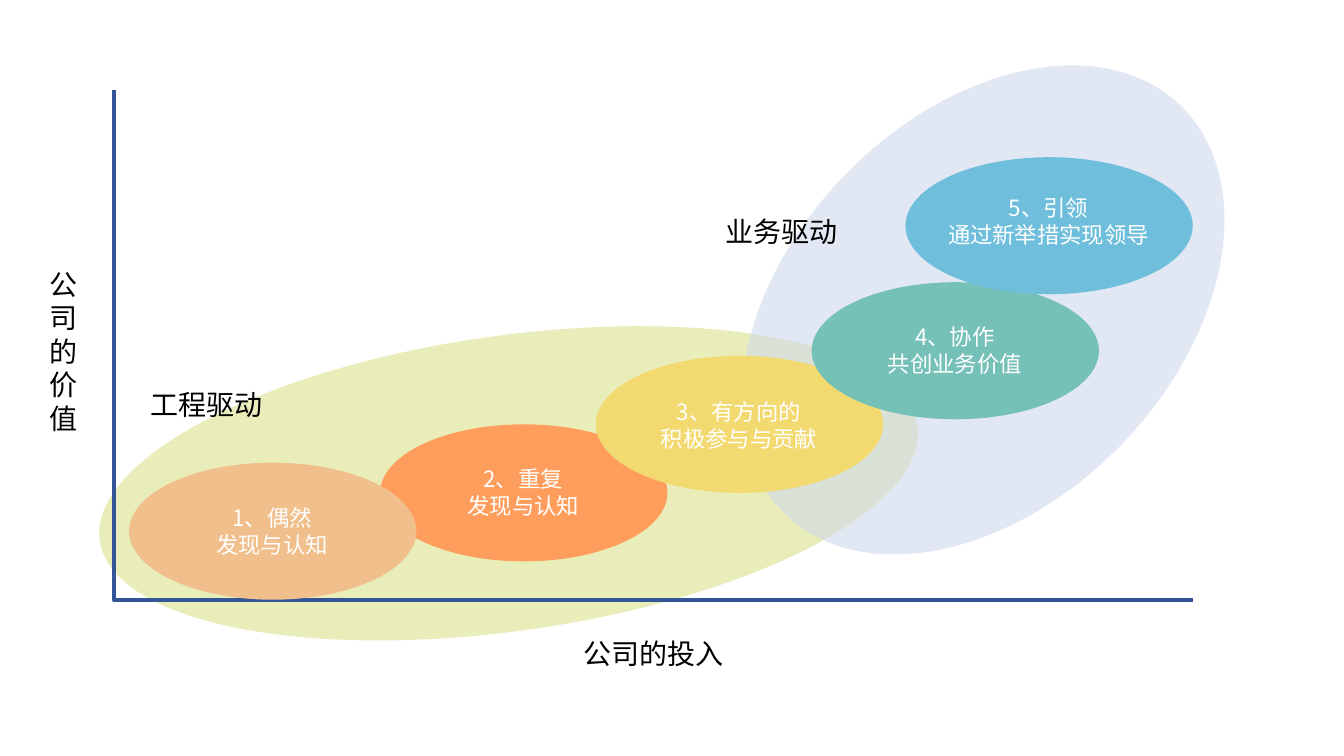
from lxml import etree
from pptx import Presentation
from pptx.dml.color import RGBColor
from pptx.enum.shapes import MSO_CONNECTOR, MSO_SHAPE
from pptx.enum.text import PP_ALIGN
from pptx.oxml.ns import qn
from pptx.util import Inches, Pt

FONT = "Noto Sans CJK SC"
BLACK = RGBColor(0x00, 0x00, 0x00)
WHITE = RGBColor(0xFF, 0xFF, 0xFF)
AXIS_BLUE = RGBColor(0x35, 0x56, 0x96)
PALE_GREEN = RGBColor(0xE9, 0xED, 0xB9)
PALE_BLUE = RGBColor(0xCF, 0xDA, 0xEB)
ORANGE = RGBColor(0xFF, 0x9E, 0x5C)
PEACH = RGBColor(0xF1, 0xBF, 0x8C)
YELLOW = RGBColor(0xF2, 0xD9, 0x70)
TEAL = RGBColor(0x75, 0xC0, 0xB7)
SKY = RGBColor(0x6E, 0xBE, 0xDC)

prs = Presentation()
prs.slide_width, prs.slide_height = Inches(13.33), Inches(7.5)
slide = prs.slides.add_slide(prs.slide_layouts[6])


def add_ellipse(left, top, width, height, color):
    ellipse = slide.shapes.add_shape(
        MSO_SHAPE.OVAL, Inches(left), Inches(top), Inches(width), Inches(height))
    ellipse.shadow.inherit = False
    ellipse.fill.solid()
    ellipse.fill.fore_color.rgb = color
    ellipse.line.fill.background()
    return ellipse


def add_label(left, top, width, height, lines, size, color):
    label = slide.shapes.add_textbox(
        Inches(left), Inches(top), Inches(width), Inches(height))
    frame = label.text_frame
    frame.word_wrap = True
    frame.text = "\n".join(lines)
    for paragraph in frame.paragraphs:
        paragraph.alignment = PP_ALIGN.CENTER
        font = paragraph.runs[0].font
        for name, value in {"size": Pt(size), "name": FONT}.items():
            setattr(font, name, value)
        font.color.rgb = color
        etree.SubElement(font._element, qn("a:ea"), typeface=FONT)
    return frame


# Driver zones behind the stages
engineering_zone = add_ellipse(0.95, 3.33, 8.19, 2.93, PALE_GREEN)
engineering_zone.rotation = 352
business_zone = add_ellipse(6.93, 1.16, 5.64, 3.83, PALE_BLUE)
business_zone.rotation = 314
zone_color = business_zone._element.spPr.find(".//" + qn("a:srgbClr"))
etree.SubElement(zone_color, qn("a:alpha"), val="60000")

# Both axes as one elbow line, bent at its left edge
axes = slide.shapes.add_connector(
    MSO_CONNECTOR.ELBOW, Inches(1.13), Inches(0.89), Inches(11.83), Inches(5.95))
axes.line.color.rgb = AXIS_BLUE
axes.line.width = Pt(3)
bend = axes._element.spPr.find(".//" + qn("a:avLst"))
etree.SubElement(bend, qn("a:gd"), name="adj1", fmla="val 0")
etree.SubElement(axes._element.spPr, qn("a:effectLst"))

# Axis titles
value_title = add_label(0.39, 2.6, 0.43, 1.64, ["公司的价值"], 20, BLACK)
value_title._txBody.bodyPr.set("vert", "mongolianVert")
add_label(5.51, 6.27, 1.95, 0.44, ["公司的投入"], 20, BLACK)

# Stages, from back to front: left, top, text top, colour, text
stages = [
    (3.77, 4.21, 4.57, ORANGE, ["2、重复", "发现与认知"]),
    (1.28, 4.59, 4.95, PEACH, ["1、偶然", "发现与认知"]),
    (5.91, 3.53, 3.9, YELLOW, ["3、有方向的", "积极参与与贡献"]),
    (8.05, 2.8, 3.16, TEAL, ["4、协作", "共创业务价值"]),
    (8.98, 1.56, 1.88, SKY, ["5、引领", "通过新举措实现领导"]),
]
for left, top, text_top, color, lines in stages:
    add_ellipse(left, top, 2.85, 1.36, color)
    add_label(left + 0.2, text_top, 2.44, 0.64, lines, 16, WHITE)

# Zone names
add_label(1.38, 3.8, 1.33, 0.44, ["工程驱动"], 20, BLACK)
add_label(7.07, 2.08, 1.37, 0.44, ["业务驱动"], 20, BLACK)

prs.save("out.pptx")
